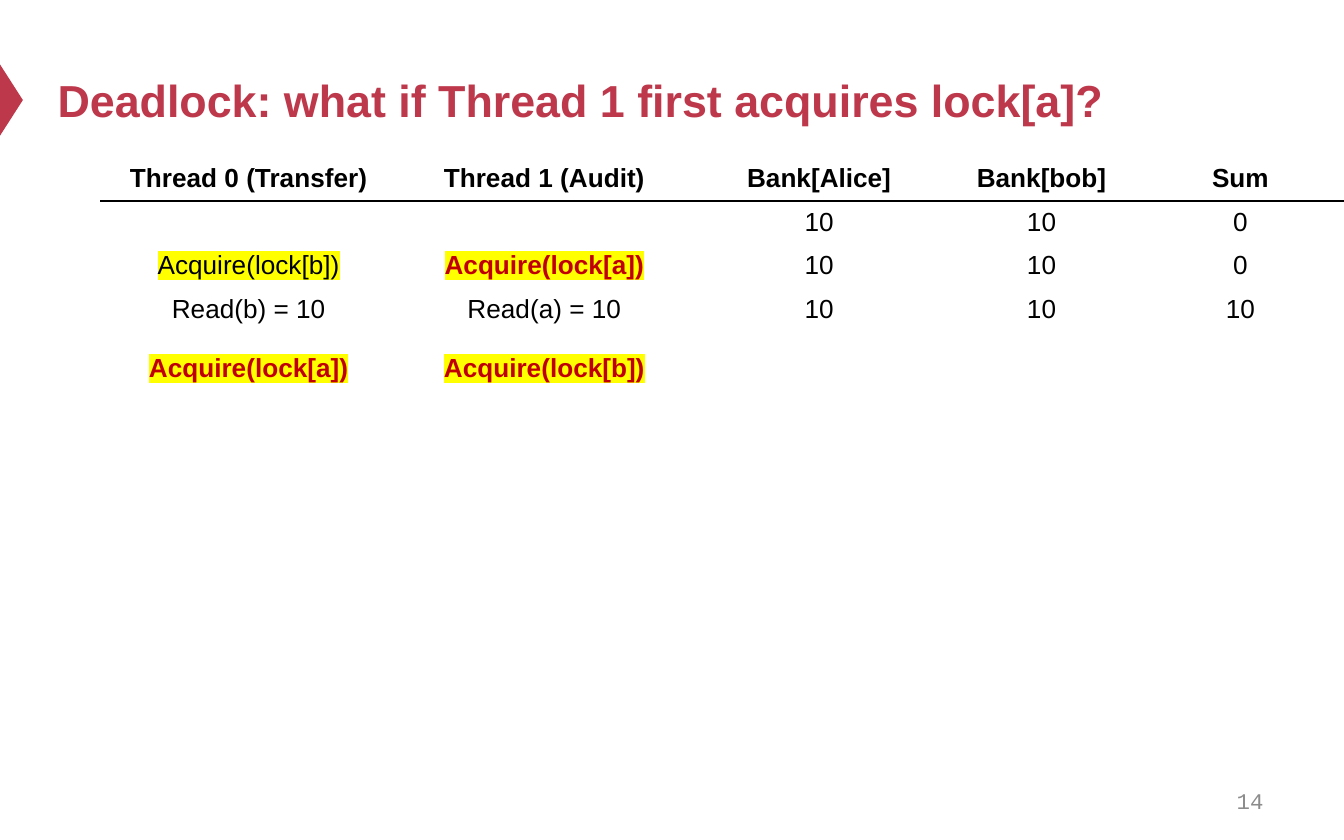
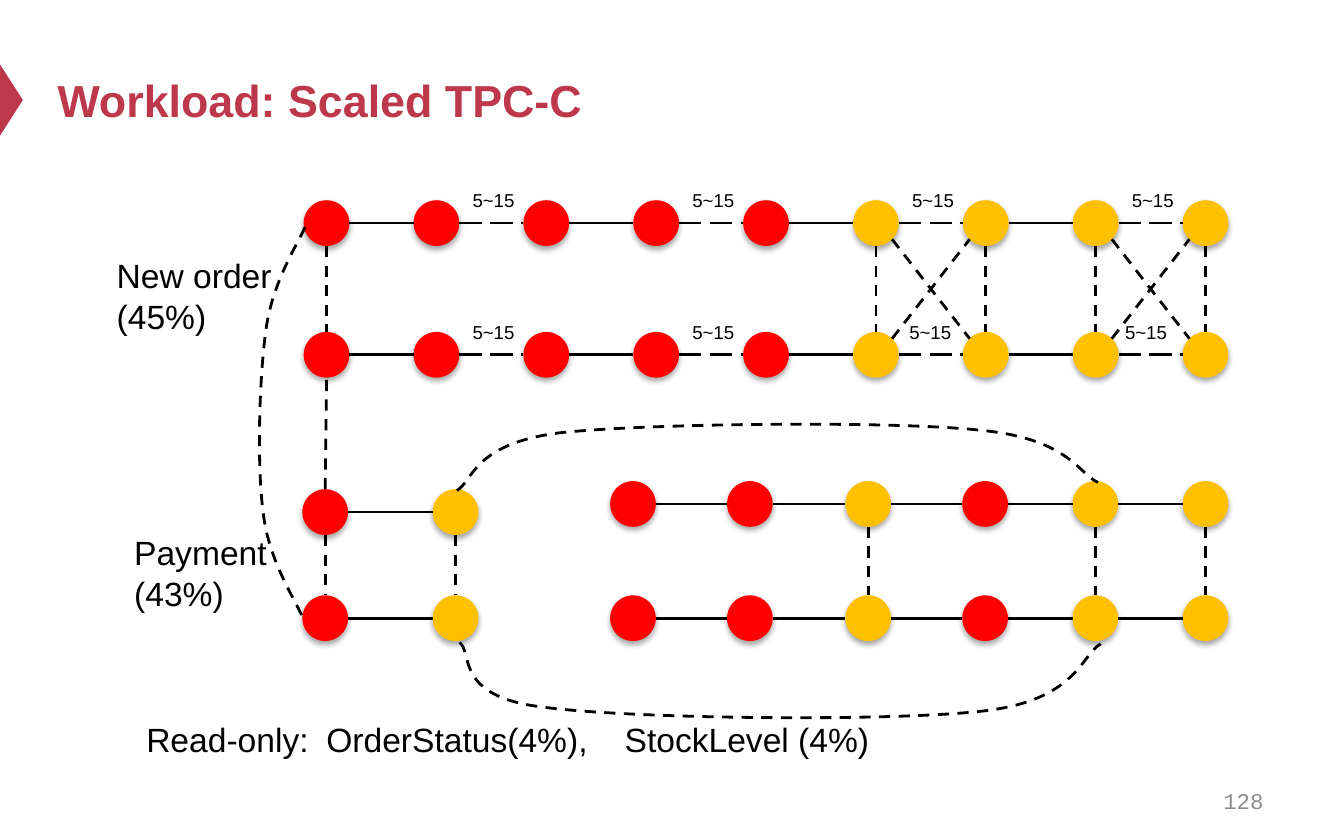
from lxml.etree import SubElement
from pptx import Presentation
from pptx.dml.color import RGBColor
from pptx.enum.dml import MSO_LINE_DASH_STYLE as Dash
from pptx.enum.shapes import MSO_CONNECTOR, MSO_SHAPE
from pptx.enum.text import MSO_ANCHOR as Anchor, PP_ALIGN as Align
from pptx.oxml import parse_xml
from pptx.oxml.ns import nsdecls, qn
from pptx.util import Inches, Pt

COLORS = {
    "accent": "BE384B", "number": "8C8C8C", "text": "000000", "white": "FFFFFF",
    "alert": "C00000", "highlight": "FFFF00", "R": "FF0000", "Y": "FFC000",
}
RGB = {name: RGBColor.from_string(value) for name, value in COLORS.items()}
WIDTH, HEIGHT = 10, 6.25


def add_text(slide, box, text, size, color="text", font="Arial", bold=False,
             align=Align.LEFT, anchor=Anchor.TOP, inset=0.05):
    frame = slide.shapes.add_textbox(*map(Inches, box)).text_frame
    frame.word_wrap = True
    frame.vertical_anchor = anchor
    frame.margin_top = frame.margin_bottom = Inches(inset)
    frame.text = text
    for paragraph in frame.paragraphs:
        paragraph.alignment = align
        for run in paragraph.runs:
            run.font.name, run.font.size, run.font.bold = font, Pt(size), bold
            run.font.color.rgb = RGB[color]
    return frame


def add_line(slide, x1, y1, x2, y2, dash=None):
    connector = slide.shapes.add_connector(
        MSO_CONNECTOR.STRAIGHT, *map(Inches, (x1, y1, x2, y2)))
    connector.line.color.rgb = RGB["text"]
    connector.line.width = Pt(1.5)
    connector.line.dash_style = dash
    SubElement(connector._element.spPr, qn("a:effectLst"))


presentation = Presentation()
presentation.slide_width, presentation.slide_height = Inches(WIDTH), Inches(HEIGHT)

# Shared frame: marker, title and slide number
slides = []
for title, number in (
    ("Deadlock: what if Thread 1 first acquires lock[a]?", "14"),
    ("Workload: Scaled TPC-C", "128"),
):
    slide = presentation.slides.add_slide(presentation.slide_layouts[6])
    marker = slide.shapes.add_shape(
        MSO_SHAPE.ISOSCELES_TRIANGLE, *map(Inches, (-0.18, 0.66, 0.53, 0.17)))
    marker.rotation = 90
    marker.shadow.inherit = False
    marker.fill.solid()
    marker.fill.fore_color.rgb = RGB["accent"]
    marker.line.fill.background()
    add_text(slide, (0.33, 0.25, 9, 0.98), title, 24, "accent", bold=True,
             anchor=Anchor.MIDDLE)
    add_text(slide, (7.17, 5.79, 2.33, 0.33), number, 12, "number", "Courier New",
             align=Align.RIGHT, anchor=Anchor.MIDDLE)
    slides.append(slide)
deadlock, workload = slides

# Deadlock: schedule of both threads
column_widths = [2.2, 2.2, 1.89, 1.42, 1.54]
schedule = [
    ["Thread 0 (Transfer)", "Thread 1 (Audit)", "Bank[Alice]", "Bank[bob]", "Sum"],
    ["", "", "10", "10", "0"],
    ["Acquire(lock[b])", "Acquire(lock[a])", "10", "10", "0"],
    ["Read(b) = 10\nAcquire(lock[a])", "Read(a) = 10\nAcquire(lock[b])",
     "10", "10", "10"],
] + [[""] * 5] * 9
row_heights = [0.31] * 3 + [0.78] + [0.36] * 9
granted = (2, 0)

table = deadlock.shapes.add_table(
    len(schedule), len(column_widths), Inches(0.75), Inches(1.17),
    Inches(sum(column_widths)), Inches(sum(row_heights))).table
table.first_row = table.horz_banding = False
for column, width in zip(table.columns, column_widths):
    column.width = Inches(width)
for row_index, (row, height) in enumerate(zip(schedule, row_heights)):
    table.rows[row_index].height = Inches(height)
    for column_index, text in enumerate(row):
        cell = table.cell(row_index, column_index)
        cell.margin_bottom = Inches(0.04)
        cell.fill.background()
        cell_properties = cell._tc.get_or_add_tcPr()
        for position, side in enumerate("LRTB"):
            under_header = (row_index, side) in ((0, "B"), (1, "T"))
            color = COLORS["text" if under_header else "white"]
            cell_properties.insert(position, parse_xml(
                f'<a:ln{side} {nsdecls("a")} w="12700"><a:solidFill>'
                f'<a:srgbClr val="{color}"/></a:solidFill></a:ln{side}>'))
        cell.text_frame.text = text
        for line_index, paragraph in enumerate(cell.text_frame.paragraphs):
            paragraph.alignment = Align.CENTER
            if line_index:
                paragraph.space_before = Pt(16)
            if not text:
                SubElement(paragraph._p, qn("a:endParaRPr"), sz="1400")
            for run in paragraph.runs:
                acquire = run.text.startswith("Acquire")
                alert = acquire and (row_index, column_index) != granted
                run.font.name, run.font.size = "Arial", Pt(14)
                run.font.bold = alert or row_index == 0
                run.font.color.rgb = RGB["alert" if alert else "text"]
                if acquire:
                    run._r.rPr.find(qn("a:solidFill")).addnext(parse_xml(
                        f'<a:highlight {nsdecls("a")}>'
                        f'<a:srgbClr val="{COLORS["highlight"]}"/></a:highlight>'))

# Workload: chains of operations, each run by two instances
RADIUS = 0.17
DIAGONAL = 0.12
order_columns = [2.43 + 0.8175 * i for i in range(9)]
order_rows = [1.66, 2.64]
payment_columns = [2.42, 3.39]
payment_rows = [3.81, 4.6]
read_columns = [4.71, 5.58, 6.46, 7.33, 8.15, 8.97]
read_rows = [3.75, 4.6]
label_nudges = {(1, 5): 0.02, (1, 7): 0.05}
chains = [  # columns, rows, node colours, conflicting columns, repeated steps
    (order_columns, order_rows, "RRRRRYYYY", (0, 5, 6, 7, 8), (1, 3, 5, 7)),
    (payment_columns, payment_rows, "RY", (0, 1), ()),
    (read_columns, read_rows, "RRYRYY", (2, 4, 5), ()),
]
for columns, rows, node_colors, conflicts, repeats in chains:
    for row_index, y in enumerate(rows):
        for x, node_color in zip(columns, node_colors):
            node = workload.shapes.add_shape(MSO_SHAPE.OVAL, *map(
                Inches, (x - RADIUS, y - RADIUS, 2 * RADIUS, 2 * RADIUS)))
            node.fill.solid()
            node.fill.fore_color.rgb = RGB[node_color]
            node.line.fill.background()
            node.shadow.inherit = False
            node._element.spPr.find(qn("a:effectLst")).append(parse_xml(
                f'<a:outerShdw {nsdecls("a")} blurRad="39400" dist="22900" '
                f'dir="5400000" rotWithShape="0"><a:srgbClr val="{COLORS["text"]}">'
                '<a:alpha val="35000"/></a:srgbClr></a:outerShdw>'))
        for i, (x, next_x) in enumerate(zip(columns, columns[1:])):
            add_line(workload, x + RADIUS, y, next_x - RADIUS, y,
                     Dash.LONG_DASH if i in repeats else None)
            if i in repeats:
                left = x + RADIUS - label_nudges.get((row_index, i), 0)
                add_text(workload, (left, y - 0.34, 0.62, 0.27), "5~15", 10, inset=0.1)
    for i in conflicts:
        add_line(workload, columns[i], rows[0] + RADIUS,
                 columns[i], rows[1] - RADIUS, Dash.DASH)

add_line(workload, payment_columns[0], payment_rows[0] - RADIUS,
         order_columns[0], order_rows[1] + RADIUS, Dash.DASH)
top, bottom = order_rows[0] + DIAGONAL, order_rows[1] - DIAGONAL
for i in (5, 7):
    left, right = order_columns[i] + DIAGONAL, order_columns[i + 1] - DIAGONAL
    add_line(workload, left, top, right, bottom, Dash.DASH)
    add_line(workload, left, bottom, right, top, Dash.DASH)

# Conflict arcs: a start, then three Bézier points for each curve segment
arcs = [
    [(3.4, 3.65), (3.52, 3.58), (3.52, 3.3), (4.17, 3.22), (4.82, 3.15),
     (6.62, 3.13), (7.28, 3.2), (7.95, 3.26), (8.02, 3.52), (8.17, 3.59)],
    [(3.42, 4.78), (3.52, 4.86), (3.38, 5.18), (4.03, 5.26), (4.68, 5.35),
     (6.63, 5.37), (7.32, 5.29), (8.01, 5.21), (8.04, 4.88), (8.19, 4.79)],
    [(2.27, 1.69), (2.22, 1.81), (2.03, 2.09), (1.98, 2.45), (1.93, 2.81),
     (1.91, 3.46), (1.96, 3.82), (2, 4.18), (2.21, 4.48), (2.26, 4.61)],
]
for controls in arcs:
    start, *points = [(Inches(x), Inches(y)) for x, y in controls]
    builder = workload.shapes.build_freeform(*start)
    builder.add_line_segments(points, close=False)
    arc = builder.convert_to_shape()
    segments = list(arc._element.iter(qn("a:lnTo")))
    for first in range(0, len(segments), 3):
        curve = parse_xml(f'<a:cubicBezTo {nsdecls("a")}/>')
        segments[first].addprevious(curve)
        for segment in segments[first:first + 3]:
            curve.append(segment[0])
            segment.getparent().remove(segment)
    arc.shadow.inherit = False
    arc.fill.background()
    arc.line.color.rgb = RGB["text"]
    arc.line.width = Pt(1.5)
    arc.line.dash_style = Dash.DASH

add_text(workload, (0.77, 1.85, 1.4, 0.71), "New order\n(45%)", 18)
add_text(workload, (0.9, 3.91, 1.25, 0.71), "Payment\n(43%)", 18)
read_only = add_text(workload, (0.99, 5.3, 5.64, 0.4),
                     "Read-only:\tOrderStatus(4%),\tStockLevel (4%)", 18)
tabs = SubElement(read_only.paragraphs[0]._p.get_or_add_pPr(), qn("a:tabLst"))
for stop in (1.34, 3.56):
    SubElement(tabs, qn("a:tab"), pos=str(Inches(stop)), algn="l")

presentation.save("out.pptx")
